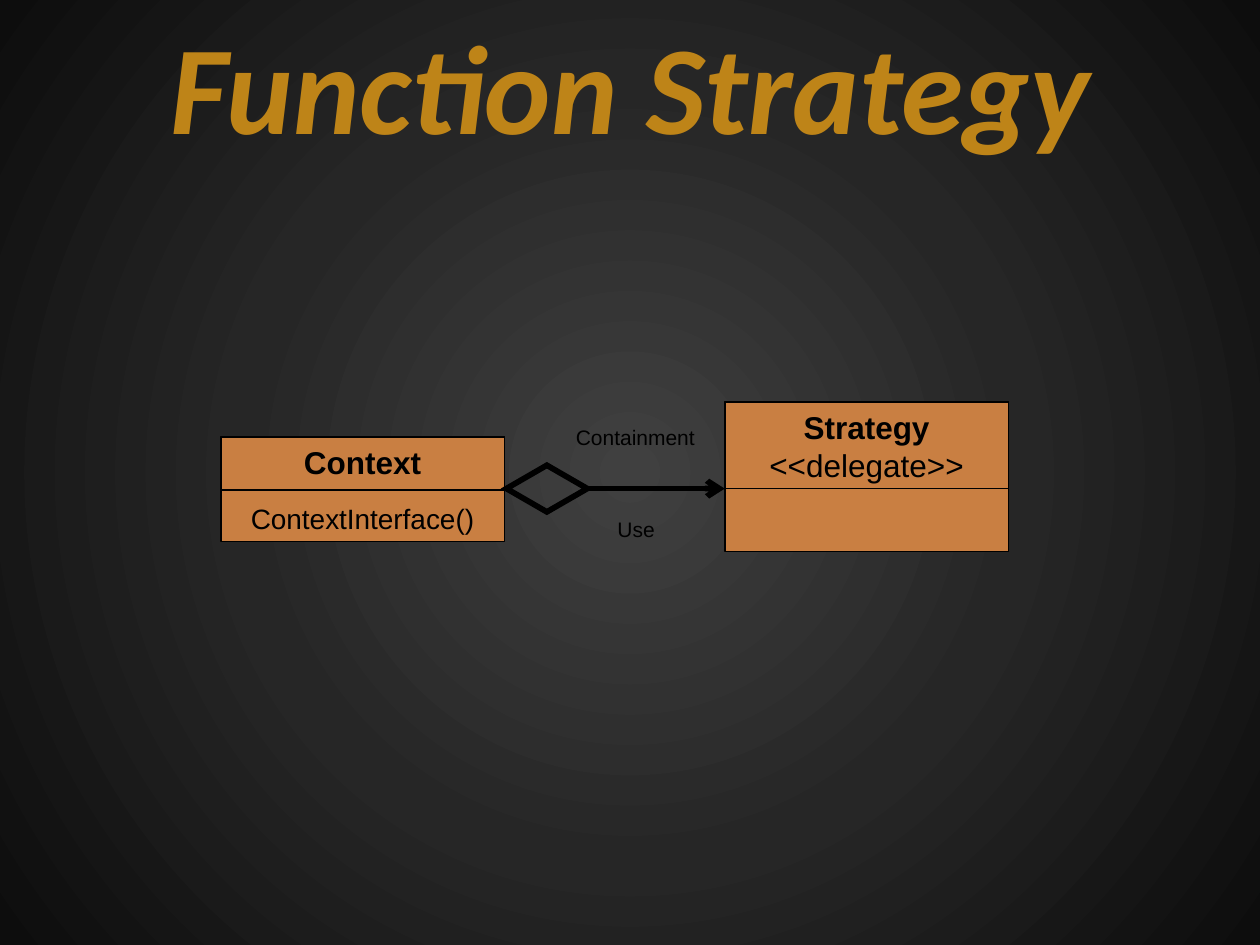
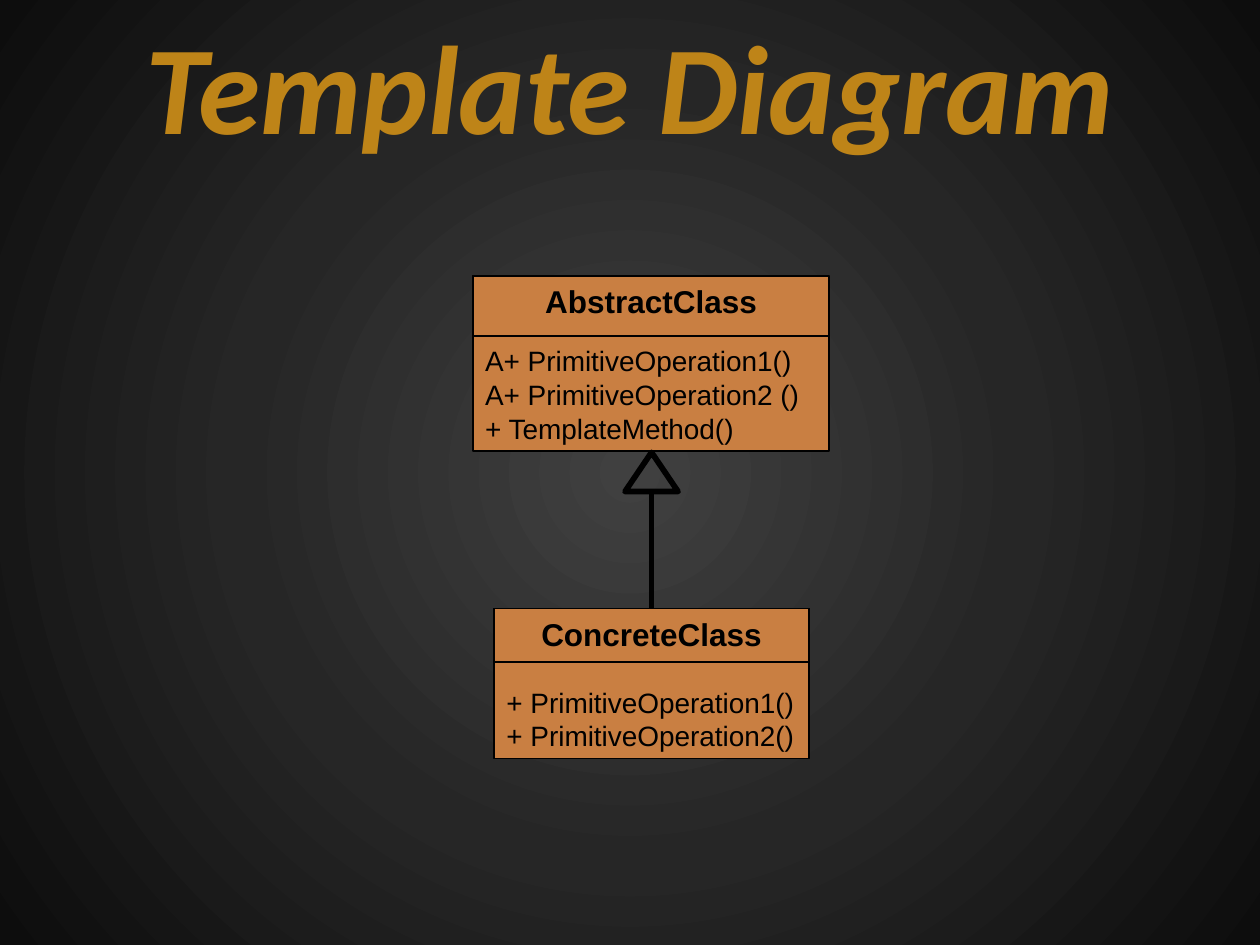
from dataclasses import dataclass

from pptx import Presentation
from pptx import oxml, util as u
from pptx.dml import color
from pptx.enum import shapes, text
from pptx.oxml import ns


@dataclass(frozen=True)
class Theme:
    gold: str = "BE8418"
    copper: str = "C97F42"
    ink: str = "000000"
    backdrop: tuple = ((0, "404040"), (50, "262626"), (100, "0D0D0D"))
    title_font: str = "Calibri"
    body_font: str = "Arial"
    title_size: int = 72
    name_size: int = 18
    member_size: int = 16
    label_size: int = 12
    border: float = 1
    relation: float = 3.25


THEME = Theme()


@dataclass(frozen=True)
class Box:
    """A place on the slide, in centimetres."""
    left: float
    top: float
    width: float
    height: float

    def lengths(self) -> tuple:
        return tuple(u.Cm(n) for n in (self.left, self.top, self.width, self.height))


@dataclass(frozen=True)
class UmlClass:
    box: Box
    header_height: float
    name: str
    members: str = ""
    stereotype: str = ""
    member_align: text.PP_ALIGN = text.PP_ALIGN.LEFT


@dataclass(frozen=True)
class Label:
    box: Box
    wording: str


TITLE_BOX = Box(0, 0.64, 25.4, 2.11)

CONTEXT = UmlClass(Box(4.45, 8.81, 5.72, 2.11), 1.07, "Context",
                   "ContextInterface()", member_align=text.PP_ALIGN.CENTER)
STRATEGY = UmlClass(Box(14.61, 8.1, 5.72, 3.02), 1.75, "Strategy",
                    stereotype="<<delegate>>")
AGGREGATION = Box(10.21, 9.38, 1.63, 0.94)
RELATION_LABELS = (Label(Box(11.35, 8.43, 2.92, 0.76), "Containment"),
                   Label(Box(12.19, 10.29, 1.27, 0.76), "Use"))

ABSTRACT = UmlClass(
    Box(9.53, 5.56, 7.19, 3.53), 1.22, "AbstractClass",
    "A+ PrimitiveOperation1()\nA+ PrimitiveOperation2 ()\n+ TemplateMethod()")
CONCRETE = UmlClass(Box(9.96, 12.27, 6.35, 3.02), 1.07, "ConcreteClass",
                    "+ PrimitiveOperation1()\n+ PrimitiveOperation2()")
INHERITANCE = Box(12.6, 9.12, 1.07, 0.79)


def rgb(value: str) -> color.RGBColor:
    return color.RGBColor.from_string(value)


def format_text(frame, size: int, align=text.PP_ALIGN.CENTER, tint: str = THEME.ink,
                font_name: str = THEME.body_font, bold: bool = False,
                italic: bool = False) -> None:
    for paragraph in frame.paragraphs:
        paragraph.alignment = align
        for run in paragraph.runs:
            font = run.font
            font.name, font.size = font_name, u.Pt(size)
            font.bold, font.italic = bold, italic
            font.color.rgb = rgb(tint)


def paint_backdrop(master) -> None:
    """Give the master a radial gradient, lightest in the middle."""
    master.background.fill.solid()
    plain = master.element.find(".//" + ns.qn("p:bgPr")).find(ns.qn("a:solidFill"))
    stops = "".join(f'<a:gs pos="{place * 1000}"><a:srgbClr val="{tint}"/></a:gs>'
                    for place, tint in THEME.backdrop)
    gradient = oxml.parse_xml(
        f'<a:gradFill {ns.nsdecls("a")} rotWithShape="1"><a:gsLst>{stops}</a:gsLst>'
        '<a:path path="circle"><a:fillToRect l="50000" t="50000" r="50000" b="50000"/>'
        '</a:path></a:gradFill>')
    plain.getparent().replace(plain, gradient)


def add_titled_slide(deck, title: str):
    slide = deck.slides.add_slide(deck.slide_layouts[5])
    heading = slide.shapes.title
    heading.left, heading.top, heading.width, heading.height = TITLE_BOX.lengths()
    frame = heading.text_frame
    frame.text = title
    frame.auto_size = text.MSO_AUTO_SIZE.NONE
    frame.vertical_anchor = text.MSO_ANCHOR.MIDDLE
    format_text(frame, THEME.title_size, tint=THEME.gold, font_name=THEME.title_font,
                bold=True, italic=True)
    return slide


def draw_shape(slide, kind, box: Box, weight: float):
    """Add an unfilled shape with a dark outline."""
    shape = slide.shapes.add_shape(kind, *box.lengths())
    shape.shadow.inherit = False
    shape.fill.background()
    shape.line.color.rgb = rgb(THEME.ink)
    shape.line.width = u.Pt(weight)
    return shape


def draw_compartment(slide, box: Box, wording: str, anchor):
    compartment = draw_shape(slide, shapes.MSO_SHAPE.RECTANGLE, box, THEME.border)
    compartment.fill.solid()
    compartment.fill.fore_color.rgb = rgb(THEME.copper)
    frame = compartment.text_frame
    frame.word_wrap = True
    frame.vertical_anchor = anchor
    frame.text = wording
    return compartment


def draw_class(slide, uml: UmlClass):
    """Draw the body, then the name over its top part; return the name part."""
    body = draw_compartment(slide, uml.box, uml.members, text.MSO_ANCHOR.BOTTOM)
    format_text(body.text_frame, THEME.member_size, uml.member_align)

    header_box = Box(uml.box.left, uml.box.top, uml.box.width, uml.header_height)
    wording = f"{uml.name}\v{uml.stereotype}" if uml.stereotype else uml.name
    header = draw_compartment(slide, header_box, wording, text.MSO_ANCHOR.TOP)
    format_text(header.text_frame, THEME.name_size)
    header.text_frame.paragraphs[0].runs[0].font.bold = True
    return header


def draw_relation(slide, start: tuple, end: tuple):
    """Draw a heavy line between two points given in centimetres."""
    relation = slide.shapes.add_connector(
        shapes.MSO_CONNECTOR.STRAIGHT, *(u.Cm(n) for n in start + end))
    relation.line.color.rgb = rgb(THEME.ink)
    relation.line.width = u.Pt(THEME.relation)
    relation.element.spPr.append(oxml.parse_xml(f'<a:effectLst {ns.nsdecls("a")}/>'))
    return relation


def add_line_detail(line_owner, detail: str) -> None:
    line_owner.line._get_or_add_ln().append(
        oxml.parse_xml(f'<a:{detail} {ns.nsdecls("a")}/>'.replace("/>", "/>")))


def draw_label(slide, label: Label) -> None:
    frame = slide.shapes.add_textbox(*label.box.lengths()).text_frame
    frame.word_wrap = False
    frame.auto_size = text.MSO_AUTO_SIZE.SHAPE_TO_FIT_TEXT
    frame.text = label.wording
    format_text(frame, THEME.label_size)


def build_function_strategy(deck) -> None:
    slide = add_titled_slide(deck, "Function Strategy")
    for uml in (CONTEXT, STRATEGY):
        draw_class(slide, uml)
    diamond = draw_shape(slide, shapes.MSO_SHAPE.FLOWCHART_DECISION, AGGREGATION,
                         THEME.relation)
    outline = diamond.line._get_or_add_ln()
    outline.append(oxml.parse_xml(f'<a:miter {ns.nsdecls("a")} lim="800000"/>'))

    middle = AGGREGATION.top + AGGREGATION.height / 2
    use = draw_relation(slide, (STRATEGY.box.left, middle),
                        (AGGREGATION.left + AGGREGATION.width, middle))
    use.end_connect(diamond, 3)
    use.line._get_or_add_ln().append(
        oxml.parse_xml(f'<a:headEnd {ns.nsdecls("a")} type="arrow"/>'))
    for label in RELATION_LABELS:
        draw_label(slide, label)


def build_template_diagram(deck) -> None:
    slide = add_titled_slide(deck, "Template Diagram")
    draw_class(slide, ABSTRACT)
    concrete = draw_class(slide, CONCRETE)
    triangle = draw_shape(slide, shapes.MSO_SHAPE.FLOWCHART_EXTRACT, INHERITANCE,
                          THEME.relation)
    center = INHERITANCE.left + INHERITANCE.width / 2
    inherits = draw_relation(slide, (center, CONCRETE.box.top),
                             (center, INHERITANCE.top + INHERITANCE.height))
    inherits.begin_connect(concrete, 0)
    inherits.end_connect(triangle, 2)


def main() -> None:
    deck = Presentation()
    deck.slide_width, deck.slide_height = u.Cm(25.4), u.Cm(19.05)
    paint_backdrop(deck.slide_master)
    build_function_strategy(deck)
    build_template_diagram(deck)
    deck.save("out.pptx")


if __name__ == "__main__":
    main()
